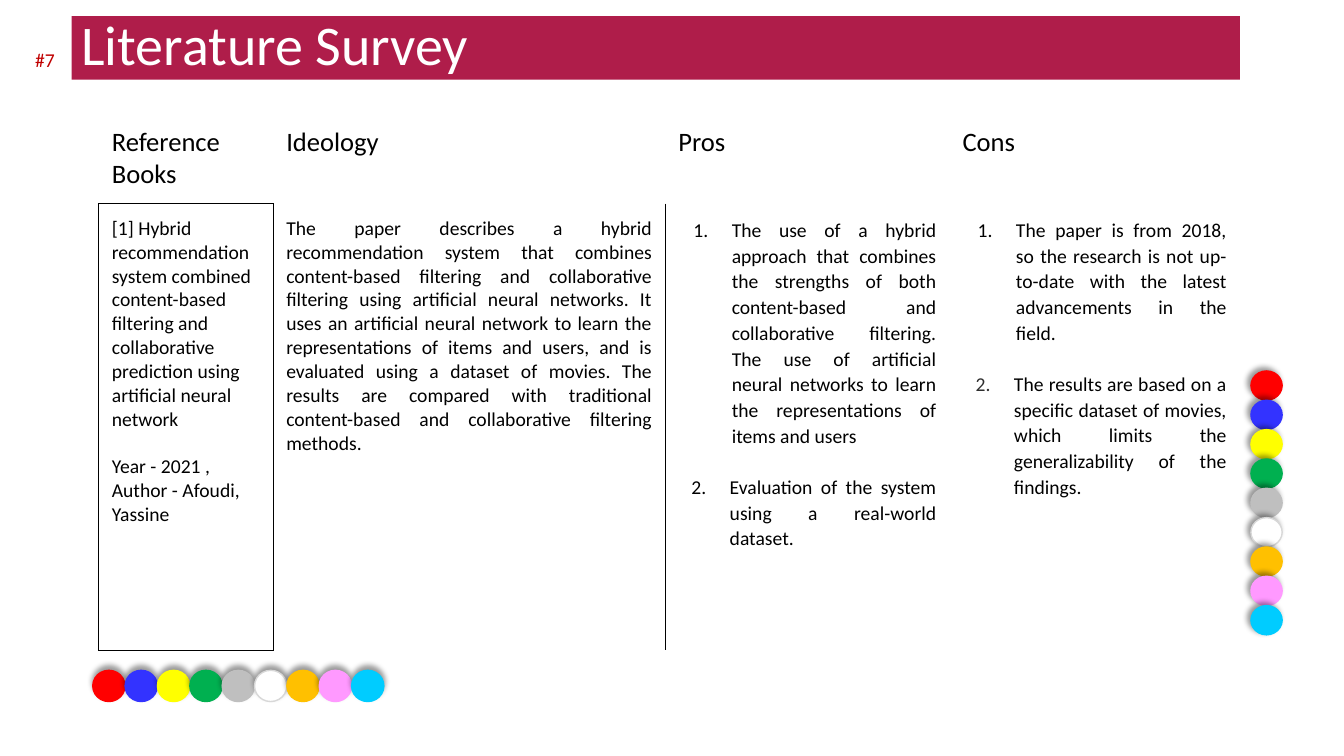
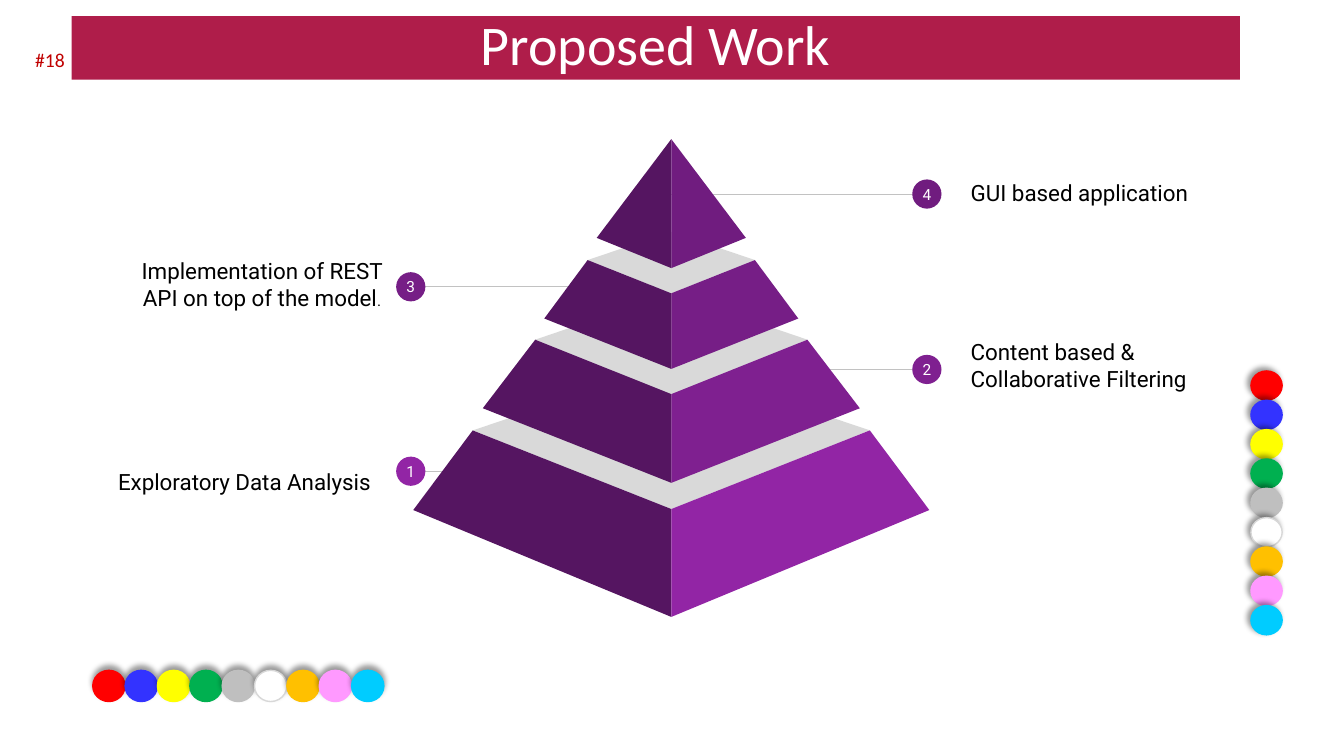
import lxml.etree
import pptx
import pptx.dml.color
import pptx.enum.shapes
import pptx.enum.text
import pptx.oxml.ns
import pptx.util

COLUMNS, ROWS = 133.33, 75  # a grid cell is a tenth of an inch
CELL = pptx.util.Inches(0.1)
COLORS = {
    "band": "AF1D4A", "number": "C00000", "white": "FFFFFF", "black": "000000",
    "grey bullet": "2E2E2E", "leader": "C2C2C2", "surface": "D9D9D9",
    "dark face": "551561", "tier 4": "701C7F", "tier 3": "761E86",
    "tier 2": "7F2090", "tier 1": "9225A5", "bead rim": "D8D8D8",
}
BEADS = ["FF0000", "3333FF", "FFFF00", "00B050", "BFBFBF",
         "FFFFFF", "FFC000", "FF99FF", "00CCFF"]
ALIGN = pptx.enum.text.PP_ALIGN
SHAPES = pptx.enum.shapes.MSO_SHAPE
MIDDLE = pptx.enum.text.MSO_ANCHOR.MIDDLE


def grid(value):
    return round(value * CELL)


def rgb(name):
    return pptx.dml.color.RGBColor.from_string(COLORS.get(name, name))


def add_xml(parent, tag, **attributes):
    names = {key: str(value) for key, value in attributes.items()}
    return lxml.etree.SubElement(parent, pptx.oxml.ns.qn(tag), names)


def write(paragraph, text, size=14, font="Calibri", color="black", align=None,
          spacing=None, before=None):
    """Append a run to the paragraph and format both."""
    run = paragraph.add_run()
    run.text = text
    run.font.size = pptx.util.Pt(size)
    run.font.name = font
    run.font.color.rgb = rgb(color)
    if align is not None:
        paragraph.alignment = align
    if spacing is not None:
        paragraph.line_spacing = spacing
    if before is not None:
        paragraph.space_before = pptx.util.Pt(before)


def number_paragraph(paragraph, indent, color):
    properties = paragraph._p.get_or_add_pPr()
    properties.set("marL", str(grid(indent)))
    properties.set("indent", str(grid(-3.8)))
    add_xml(add_xml(properties, "a:buClr"), "a:srgbClr", val=COLORS[color])
    add_xml(properties, "a:buAutoNum", type="arabicPeriod")


class Deck:
    """Holds the shared style and the slide being drawn."""

    def __init__(self):
        self.presentation = pptx.Presentation()
        self.presentation.slide_width = grid(COLUMNS)
        self.presentation.slide_height = grid(ROWS)
        self.slide = None

    def new_slide(self, title, number, align=ALIGN.LEFT):
        layout = self.presentation.slide_layouts[6]
        self.slide = self.presentation.slides.add_slide(layout)
        for index, color in enumerate(BEADS):
            self.bead(124.1, 36.8 + index * 2.91, 3.1, 2.9, color, 225)
        for index, color in enumerate(BEADS):
            self.bead(9.2 + index * 3.21, 66.5, 3.2, 3.1, color, 270)
        band = self.shape(SHAPES.RECTANGLE, 7.1, 1.6, 115.9, 6.3, "band")
        band.text_frame.vertical_anchor = MIDDLE
        write(band.text_frame.paragraphs[0], title, size=40, color="white",
              align=align, spacing=0.9)
        self.text(2.5, 3.9, 30, 4, f"#{number}", inset=None, color="number")

    def shape(self, kind, left, top, width, height, fill):
        shape = self.slide.shapes.add_shape(
            kind, grid(left), grid(top), grid(width), grid(height))
        return self.paint(shape, fill)

    def paint(self, shape, fill):
        shape.shadow.inherit = False
        shape.fill.solid()
        shape.fill.fore_color.rgb = rgb(fill)
        shape.line.fill.background()
        return shape

    def bead(self, left, top, width, height, color, shadow_angle):
        bead = self.shape(SHAPES.FLOWCHART_CONNECTOR, left, top, width, height, color)
        bead.line.color.rgb = rgb("bead rim" if color == COLORS["white"] else color)
        bead.line.width = pptx.util.Pt(1)
        effects = bead._element.spPr.find(pptx.oxml.ns.qn("a:effectLst"))
        shadow = add_xml(effects, "a:outerShdw", blurRad=pptx.util.Pt(4),
                         dist=pptx.util.Pt(3), dir=shadow_angle * 60000,
                         rotWithShape=0)
        add_xml(add_xml(shadow, "a:srgbClr", val=COLORS["black"]),
                "a:alpha", val=40000)

    def text(self, left, top, width, height, text, inset=1.3, **style):
        box = self.slide.shapes.add_textbox(
            grid(left), grid(top), grid(width), grid(height))
        frame = box.text_frame
        frame.word_wrap = True
        frame.vertical_anchor = MIDDLE
        if inset is not None:
            self.set_insets(frame, inset)
        write(frame.paragraphs[0], text, **style)
        return frame.paragraphs[0]

    def set_insets(self, target, inset):
        for side in ("left", "right", "top", "bottom"):
            setattr(target, f"margin_{side}", grid(inset))

    def polygon(self, points, fill):
        start, *others = [(grid(x), grid(y)) for x, y in points]
        builder = self.slide.shapes.build_freeform(*start)
        builder.add_line_segments(others, close=True)
        self.paint(builder.convert_to_shape(), fill)

    def leader(self, start, end, row):
        line = self.slide.shapes.add_connector(
            pptx.enum.shapes.MSO_CONNECTOR.STRAIGHT,
            grid(start), grid(row), grid(end), grid(row))
        line.line.color.rgb = rgb("leader")
        line.line.width = pptx.util.Pt(0.75)
        add_xml(line._element.spPr, "a:effectLst")

    def numbered_dot(self, center, row, number):
        size = 2.9
        dot = self.shape(SHAPES.OVAL, center - size / 2, row - size / 2,
                         size, size, f"tier {number}")
        self.set_insets(dot.text_frame, 0)
        dot.text_frame.vertical_anchor = MIDDLE
        write(dot.text_frame.paragraphs[0], str(number), size=11, font="Roboto",
              color="white", align=ALIGN.CENTER)

    def tier(self, axis, top, base, fill):
        """Draw a tier; top and base are (half width, corner row, front row)."""
        half, corner, front = top
        base_half, base_corner, base_front = base
        if half:
            back = corner - 0.85 * (front - corner)
            self.polygon([(axis - half, corner), (axis, front),
                          (axis + half, corner), (axis, back)], "surface")
        for side, color in ((-1, "dark face"), (1, fill)):
            self.polygon([(axis + side * half, corner), (axis, front),
                          (axis, base_front),
                          (axis + side * base_half, base_corner)], color)

    def table(self, left, top, widths, heights):
        table = self.slide.shapes.add_table(
            len(heights), len(widths), grid(left), grid(top),
            grid(sum(widths)), grid(sum(heights))).table
        table.first_row = table.horz_banding = False
        for column, width in zip(table.columns, widths):
            column.width = grid(width)
        for row, height in zip(table.rows, heights):
            row.height = grid(height)
        for cell in table.iter_cells():
            self.set_insets(cell, 1.3)
            cell.fill.background()
        return table

    def borders(self, cell, sides):
        properties = cell._tc.get_or_add_tcPr()
        for index, side in enumerate("LRTB"):
            line = add_xml(properties, f"a:ln{side}", w=pptx.util.Pt(0.75))
            if side in sides:
                fill = add_xml(line, "a:solidFill")
                add_xml(fill, "a:srgbClr", val=COLORS["black"])
            else:
                add_xml(line, "a:noFill")
            properties.insert(index, line)


def fill_list(cell, items, second_color="black"):
    for index, item in enumerate(items):
        frame = cell.text_frame
        paragraph = frame.add_paragraph() if index else frame.paragraphs[0]
        number_paragraph(paragraph, 5.1 if index else 5.3,
                         second_color if index else "black")
        write(paragraph, item, align=ALIGN.JUSTIFY, spacing=1.08,
              before=18 if index else None)


def literature_survey(deck):
    deck.new_slide("Literature Survey", 7)
    table = deck.table(9.8, 11.2, [17.3, 38.9, 28.2, 28.8], [9, 44.3])
    headings = ["Reference Books", "Ideology", "Pros", "Cons"]
    edges = [["B", "", "", ""], ["LRTB", "LR", "L", ""]]
    for column, heading in enumerate(headings):
        write(table.cell(0, column).text_frame.paragraphs[0], heading, size=19)
        for row in range(2):
            deck.borders(table.cell(row, column), edges[row][column])

    reference, ideology, pros, cons = [table.cell(1, column) for column in range(4)]
    frame = reference.text_frame
    write(frame.paragraphs[0],
          "[1] Hybrid recommendation system combined content-based filtering and "
          "collaborative prediction using artificial neural network")
    write(frame.add_paragraph(), "Year - 2021 ,", before=17)
    write(frame.add_paragraph(), "Author - Afoudi, Yassine")
    write(ideology.text_frame.paragraphs[0],
          "The paper describes a hybrid recommendation system that combines "
          "content-based filtering and collaborative filtering using artificial "
          "neural networks. It uses an artificial neural network to learn the "
          "representations of items and users, and is evaluated using a dataset of "
          "movies. The results are compared with traditional content-based and "
          "collaborative filtering methods.", align=ALIGN.JUSTIFY)
    fill_list(pros, [
        "The use of a hybrid approach that combines the strengths of both "
        "content-based and collaborative filtering. The use of artificial neural "
        "networks to learn the representations of items and users",
        "Evaluation of the system using a real-world dataset."])
    fill_list(cons, [
        "The paper is from 2018, so the research is not up-to-date with the latest "
        "advancements in the field.",
        "The results are based on a specific dataset of movies, which limits the "
        "generalizability of the findings."], second_color="grey bullet")


def proposed_work(deck):
    deck.new_slide("Proposed Work", 18, align=ALIGN.CENTER)
    axis, left_dots, right_dots = 66.6, 40.75, 91.95
    dots = {1: (left_dots, 46.75), 2: (right_dots, 36.65),
            3: (left_dots, 28.45), 4: (right_dots, 19.25)}
    tiers = {
        1: ((19.7, 42.7, 50.5), (25.6, 50.6, 61.2)),
        2: ((13.5, 33.7, 39.1), (18.7, 40.5, 47.9)),
        3: ((8.3, 25.8, 29.1), (12.6, 31.6, 36.6)),
        4: ((0, 13.8, 13.8), (7.4, 23.6, 26.6)),
    }
    labels = {
        1: (7.8, 43.6, 30.3, "Exploratory Data Analysis", ALIGN.RIGHT),
        2: (95, 32, 28, "Content based & Collaborative Filtering", ALIGN.LEFT),
        3: (12, 24, 28, "Implementation of REST API on top of the model",
            ALIGN.CENTER),
        4: (95, 14.9, 28, "GUI based application", ALIGN.LEFT),
    }
    for center, row in dots.values():
        deck.leader(center, axis, row)
    for number, (top, base) in tiers.items():
        deck.tier(axis, top, base, f"tier {number}")
    for number, (center, row) in dots.items():
        deck.numbered_dot(center, row, number)
        left, top, width, text, align = labels[number]
        paragraph = deck.text(left, top, width, 8.4, text, size=16,
                              font="Roboto", align=align)
        if number == 3:
            write(paragraph, ".", size=11, font="Roboto")


def main():
    deck = Deck()
    literature_survey(deck)
    proposed_work(deck)
    deck.presentation.save("out.pptx")


if __name__ == "__main__":
    main()
